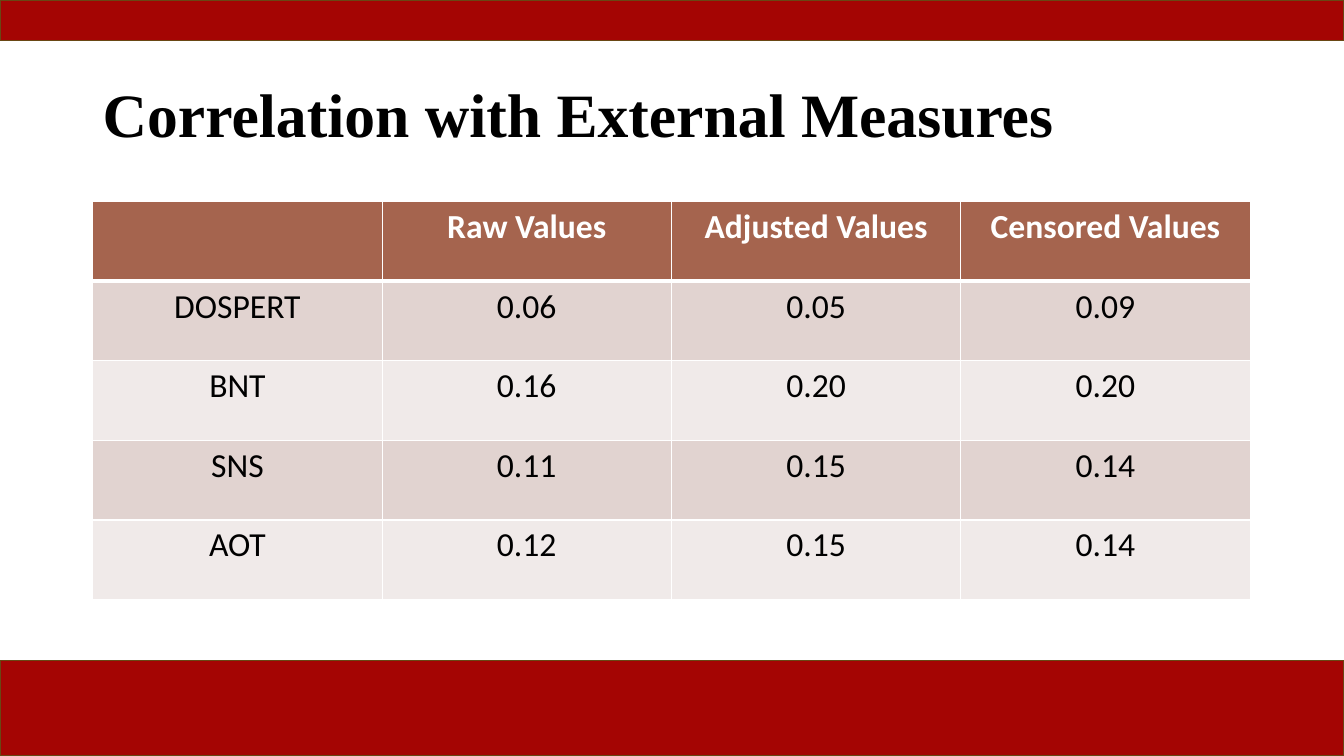
from lxml import etree
from pptx import Presentation
from pptx.dml.color import RGBColor
from pptx.enum.shapes import MSO_SHAPE
from pptx.enum.text import MSO_ANCHOR, PP_ALIGN
from pptx.oxml.ns import qn
from pptx.util import Pt

RECTANGLE = MSO_SHAPE.RECTANGLE
MIDDLE = MSO_ANCHOR.MIDDLE
CENTER = PP_ALIGN.CENTER

EMU_PER_PX = 9144
PAGE_WIDTH, PAGE_HEIGHT = 1333, 750

BLACK = RGBColor(0x00, 0x00, 0x00)
WHITE = RGBColor(0xFF, 0xFF, 0xFF)
CRIMSON = RGBColor(0xA4, 0x05, 0x03)
OLIVE = RGBColor(0x69, 0x47, 0x14)
SIENNA = RGBColor(0xA5, 0x64, 0x4E)
ROSE = RGBColor(0xE1, 0xD3, 0xD0)
PALE_ROSE = RGBColor(0xF0, 0xEA, 0xE9)

TITLE = {"name": "Times New Roman", "size": Pt(44), "bold": True}
HEADER = {"name": "Calibri", "size": Pt(24), "bold": True}
BODY = {"name": "Calibri", "size": Pt(24), "bold": False}

CORRELATIONS = [
    ["", "Raw Values", "Adjusted Values", "Censored Values"],
    ["DOSPERT", "0.06", "0.05", "0.09"],
    ["BNT", "0.16", "0.20", "0.20"],
    ["SNS", "0.11", "0.15", "0.14"],
    ["AOT", "0.12", "0.15", "0.14"],
]


def px(length):
    return length * EMU_PER_PX


class SlideBuilder:
    def __init__(self, page):
        self.page = page

    def add_span(self, para, text, style, color):
        span = para.add_run()
        span.text = text
        for name, value in style.items():
            setattr(span.font, name, value)
        span.font.color.rgb = color

    def band(self, top, height):
        box = self.page.shapes.add_shape(
            RECTANGLE, 0, px(top), px(PAGE_WIDTH), px(height))
        box.shadow.inherit = False
        box.fill.solid()
        box.fill.fore_color.rgb = CRIMSON
        box.line.color.rgb = OLIVE
        box.line.width = Pt(1)

    def title(self, text, left, top, width, height):
        box = self.page.shapes.add_textbox(
            px(left), px(top), px(width), px(height))
        frame = box.text_frame
        frame.word_wrap = True
        frame.vertical_anchor = MIDDLE
        para = frame.paragraphs[0]
        para.line_spacing = 0.9
        self.add_span(para, text, TITLE, BLACK)

    def border(self, cell, side, points):
        properties = cell._tc.get_or_add_tcPr()
        line = etree.SubElement(properties, qn(f"a:ln{side}"), w=str(Pt(points)))
        fill = etree.SubElement(line, qn("a:solidFill"))
        etree.SubElement(fill, qn("a:srgbClr"), val=str(WHITE))

    def table(self, rows, left, top, column_width, row_height):
        columns = len(rows[0])
        table = self.page.shapes.add_table(
            len(rows), columns, px(left), px(top),
            px(column_width * columns), px(row_height * len(rows))).table
        for row_index, row in enumerate(rows):
            is_header = row_index == 0
            style, color = (HEADER, WHITE) if is_header else (BODY, BLACK)
            body_fill = ROSE if row_index % 2 else PALE_ROSE
            widths = {"L": 1, "R": 1, "T": 3 if row_index == 1 else 1,
                      "B": 3 if is_header else 1}
            for column_index, text in enumerate(row):
                cell = table.cell(row_index, column_index)
                for side, points in widths.items():
                    self.border(cell, side, points)
                cell.fill.solid()
                cell.fill.fore_color.rgb = SIENNA if is_header else body_fill
                para = cell.text_frame.paragraphs[0]
                para.alignment = CENTER
                if text:
                    self.add_span(para, text, style, color)


def main():
    deck = Presentation()
    deck.slide_width = px(PAGE_WIDTH)
    deck.slide_height = px(PAGE_HEIGHT)
    builder = SlideBuilder(deck.slides.add_slide(deck.slide_layouts[6]))
    builder.band(top=655, height=95)
    builder.band(top=0, height=40)
    builder.title("Correlation with External Measures", 92, 49, 1150, 136)
    builder.table(CORRELATIONS, left=92, top=200, column_width=287, row_height=79)
    deck.save("out.pptx")


if __name__ == "__main__":
    main()
